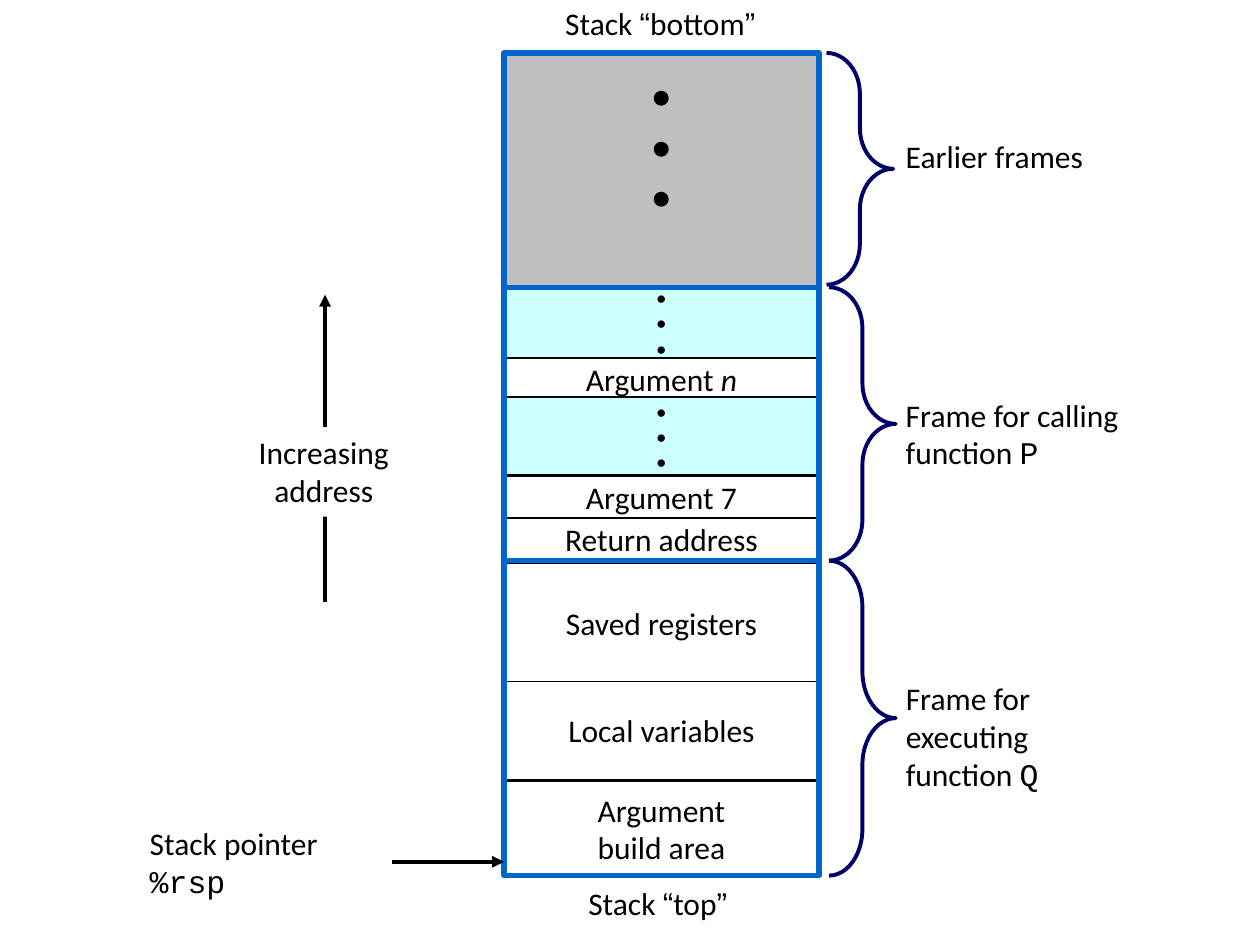
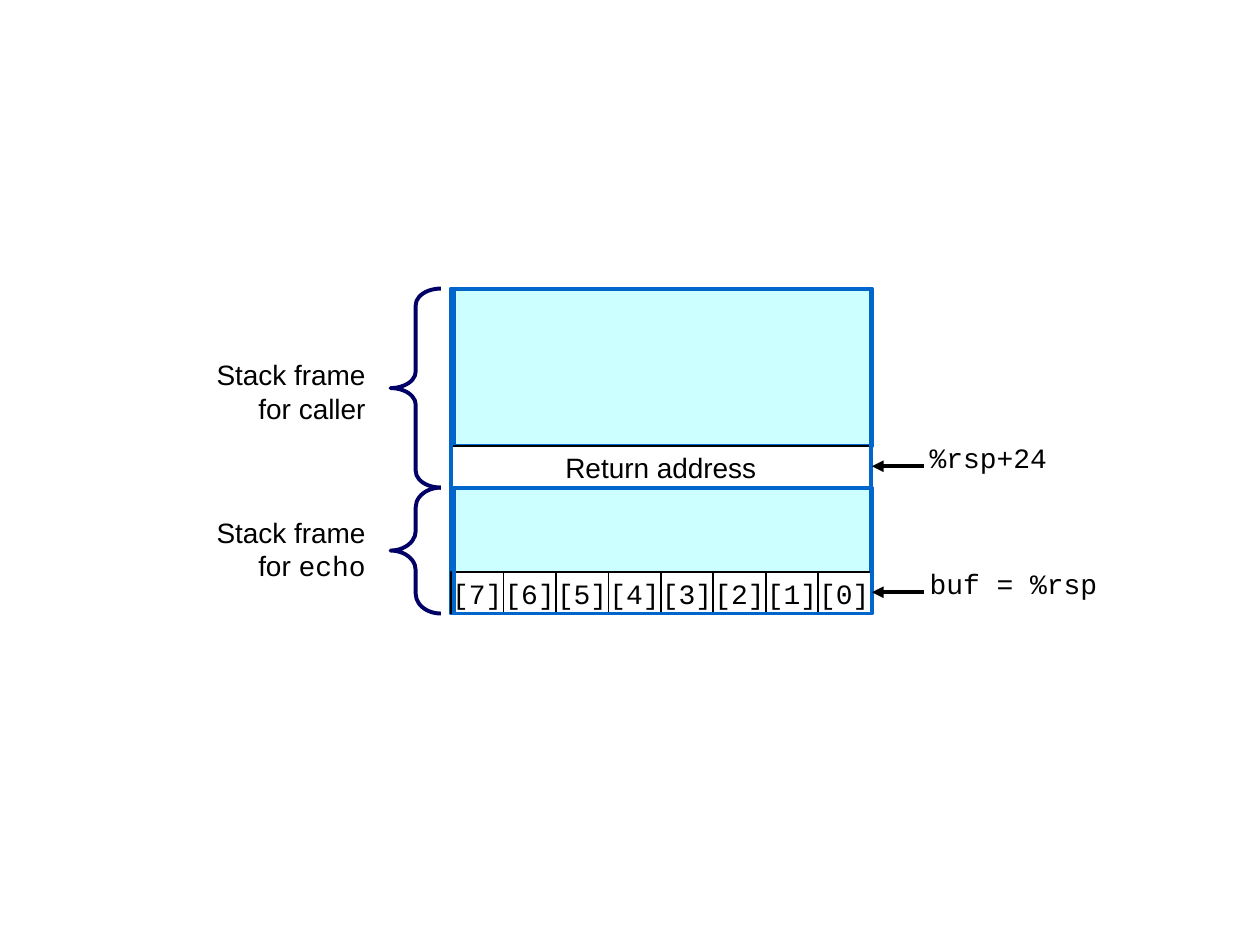
from lxml.etree import SubElement
from pptx import Presentation
from pptx.dml.color import RGBColor
from pptx.enum.shapes import MSO_CONNECTOR as Connector, MSO_SHAPE as Preset
from pptx.enum.text import MSO_ANCHOR as Anchor, MSO_AUTO_SIZE as AutoSize, PP_ALIGN as Align
from pptx.oxml.ns import qn
from pptx.util import Inches, Pt

COLORS = {
    "text": "000000",
    "cell": "FFFFFF",
    "shaded": "CCFFFF",
    "earlier": "BFBFBF",
    "frame": "0066CC",
    "brace": "000066",
}
BODY, SANS, MONO = "Calibri", "Arial", "Courier New"


def color(name):
    """Return the named palette colour."""
    return RGBColor.from_string(COLORS[name])


def write_text(shape, paragraphs, size=18, font=BODY, align=Align.CENTER,
               anchor=Anchor.TOP, wrap=True, grow=False, bottom=0.05):
    """Fill a shape with paragraphs, each a string or a list of (text, font, italic) runs."""
    frame = shape.text_frame
    frame.word_wrap = wrap
    frame.auto_size = AutoSize.SHAPE_TO_FIT_TEXT if grow else AutoSize.NONE
    frame.vertical_anchor = anchor
    frame.margin_bottom = Inches(bottom)
    for index, runs in enumerate(paragraphs):
        paragraph = frame.add_paragraph() if index else frame.paragraphs[0]
        paragraph.alignment = align
        if isinstance(runs, str):
            runs = [(runs, font, False)]
        for words, run_font, italic in runs:
            run = paragraph.add_run()
            run.text = words
            run.font.name = run_font
            run.font.size = Pt(size)
            run.font.italic = italic
            run.font.color.rgb = color("text")


def add_preset(slide, preset, left, top, width, height, fill=None, line=None, weight=1):
    """Add a preset shape with an optional fill and outline."""
    shape = slide.shapes.add_shape(
        preset, Inches(left), Inches(top), Inches(width), Inches(height))
    shape.shadow.inherit = False
    if fill:
        shape.fill.solid()
        shape.fill.fore_color.rgb = color(fill)
    else:
        shape.fill.background()
    if line:
        shape.line.color.rgb = color(line)
        shape.line.width = Pt(weight)
    else:
        shape.line.fill.background()
    return shape


def add_cell(slide, left, top, width, height, paragraphs, fill="cell",
             line="text", weight=1, **text_format):
    """Add a filled stack cell with centred text."""
    shape = add_preset(slide, Preset.RECTANGLE, left, top, width, height, fill, line, weight)
    write_text(shape, paragraphs, anchor=Anchor.MIDDLE, wrap=False, **text_format)


def add_outline(slide, left, top, width, height, weight, fill=None):
    """Add a blue frame around a part of the stack."""
    add_preset(slide, Preset.RECTANGLE, left, top, width, height, fill, "frame", weight)


def add_brace(slide, left, top, width, height, curve, flip=False):
    """Add a brace that opens left, or right when flipped."""
    shape = add_preset(slide, Preset.RIGHT_BRACE, left, top, width, height,
                       line="brace", weight=2.25)
    shape.adjustments[0] = curve
    shape.adjustments[1] = 0.5
    if flip:
        shape._element.spPr.find(qn("a:xfrm")).set("flipH", "1")


def add_label(slide, left, top, width, height, paragraphs, align=Align.LEFT, **text_format):
    """Add a free text label."""
    box = slide.shapes.add_textbox(Inches(left), Inches(top), Inches(width), Inches(height))
    write_text(box, paragraphs, align=align, grow=True, **text_format)


def add_arrow(slide, start, end):
    """Add a line with an arrowhead at its end."""
    points = [Inches(value) for value in (*start, *end)]
    arrow = slide.shapes.add_connector(Connector.STRAIGHT, *points)
    arrow.line.color.rgb = color("text")
    arrow.line.width = Pt(2.25)
    SubElement(arrow.line._get_or_add_ln(), qn("a:tailEnd"), type="triangle")
    SubElement(arrow._element.spPr, qn("a:effectLst"))


def build_stack_frames(slide):
    """Draw the general structure of the stack."""
    left, width = 4, 2.5
    dots = ["•"] * 3
    argument_n = [("Argument", BODY, False), (" n", BODY, True)]

    add_cell(slide, left, 0.42, width, 1.86, dots, fill="earlier", line="frame",
             weight=3, size=24, bottom=0.46)
    cells = [
        (5.4, 0.79, ["Local variables"]),
        (6.2, 0.75, ["Argument", "build area"]),
        (4.11, 0.33, ["Return address"]),
        (3.78, 0.33, ["Argument 7"]),
        (2.84, 0.33, [argument_n]),
        (4.47, 0.94, ["Saved registers"]),
    ]
    for top, height, paragraphs in cells:
        add_cell(slide, left, top, width, height, paragraphs)
    for top, height in [(2.28, 0.56), (3.15, 0.62)]:
        add_cell(slide, left, top, width, height, dots, fill="shaded", size=12)
    for top, height in [(2.28, 2.17), (4.45, 2.5)]:
        add_outline(slide, left, top, width, height, 3)

    braces = [(6.56, 0.42, 1.84, 0.61), (6.58, 2.28, 2.17, 0.61), (6.58, 4.45, 2.5, 0.7)]
    for brace_left, top, height, curve in braces:
        add_brace(slide, brace_left, top, 0.53, height, curve)

    add_label(slide, 7.09, 1.04, 1.63, 0.4, ["Earlier frames"], wrap=False)
    functions = [
        (3.09, 2.66, 0.71, "Frame for calling function ", "P"),
        (5.34, 1.99, 1.01, "Frame for executing function ", "Q"),
    ]
    for top, label_width, height, words, name in functions:
        add_label(slide, 7.09, top, label_width, height,
                  [[(words, BODY, False), (name, MONO, False)]])
    for label_left, top, end in [(4.02, -0.02, "bottom"), (4, 6.97, "top")]:
        runs = [("Stack ", BODY, False), ("“", SANS, False),
                (end, BODY, False), ("”", SANS, False)]
        add_label(slide, label_left, top, 2.44, 0.4, [runs], align=Align.CENTER)

    add_label(slide, 1.09, 6.49, 1.56, 0.71,
              ["Stack pointer", [("%rsp", MONO, False)]], wrap=False)
    add_arrow(slide, (3.11, 6.84), (left, 6.84))
    add_arrow(slide, (2.58, 4.78), (2.58, 2.34))
    direction = add_preset(slide, Preset.RECTANGLE, 1.67, 3.39, 1.8, 0.71, "cell")
    write_text(direction, ["Increasing", "address"], grow=True)


def build_echo_frame(slide):
    """Draw the stack of the echo function with its buffer."""
    left, width, row = 3.58, 3.33, 0.33
    caller_top, echo_top, echo_height = 2.29, 3.87, 1
    caller_height = echo_top - caller_top
    buffer_size = 8
    byte_width = width / buffer_size

    add_outline(slide, left, echo_top, width, echo_height, 2.25, "shaded")
    add_outline(slide, 3.6, caller_top, 3.32, 1.25, 2.25, "shaded")
    add_cell(slide, left, echo_top - row, width, row, ["Return address"], size=16, font=SANS)
    for column in range(buffer_size):
        add_cell(slide, left + column * byte_width, 4.54, byte_width, row,
                 [f"[{buffer_size - 1 - column}]"], size=16, font=MONO)
    add_outline(slide, 3.6, echo_top, 3.32, echo_height, 2.25)
    add_outline(slide, left, caller_top, width, caller_height, 2.25)

    add_brace(slide, 3.1, caller_top, 0.4, caller_height, 0.33, flip=True)
    add_brace(slide, 3.1, echo_top, 0.4, echo_height, 0.39, flip=True)
    echo_runs = [("for ", SANS, False), ("echo", MONO, False)]
    for top, second_line in [(2.79, "for caller"), (4.04, echo_runs)]:
        add_label(slide, 1.17, top, 1.83, 0.64, ["Stack frame", second_line],
                  align=Align.RIGHT, size=16, font=SANS)

    for y, label_width, words in [(3.7, 1.14, "%rsp+24"), (4.7, 1.55, "buf = %rsp")]:
        add_arrow(slide, (7.33, y), (6.92, y))
        add_label(slide, 7.28, y - 0.25, label_width, 0.37, [words],
                  size=16, font=MONO, wrap=False)


def main():
    """Build and save the presentation."""
    presentation = Presentation()
    presentation.slide_width = Inches(10)
    presentation.slide_height = Inches(7.5)
    for build in (build_stack_frames, build_echo_frame):
        build(presentation.slides.add_slide(presentation.slide_layouts[6]))
    presentation.save("out.pptx")


main()
